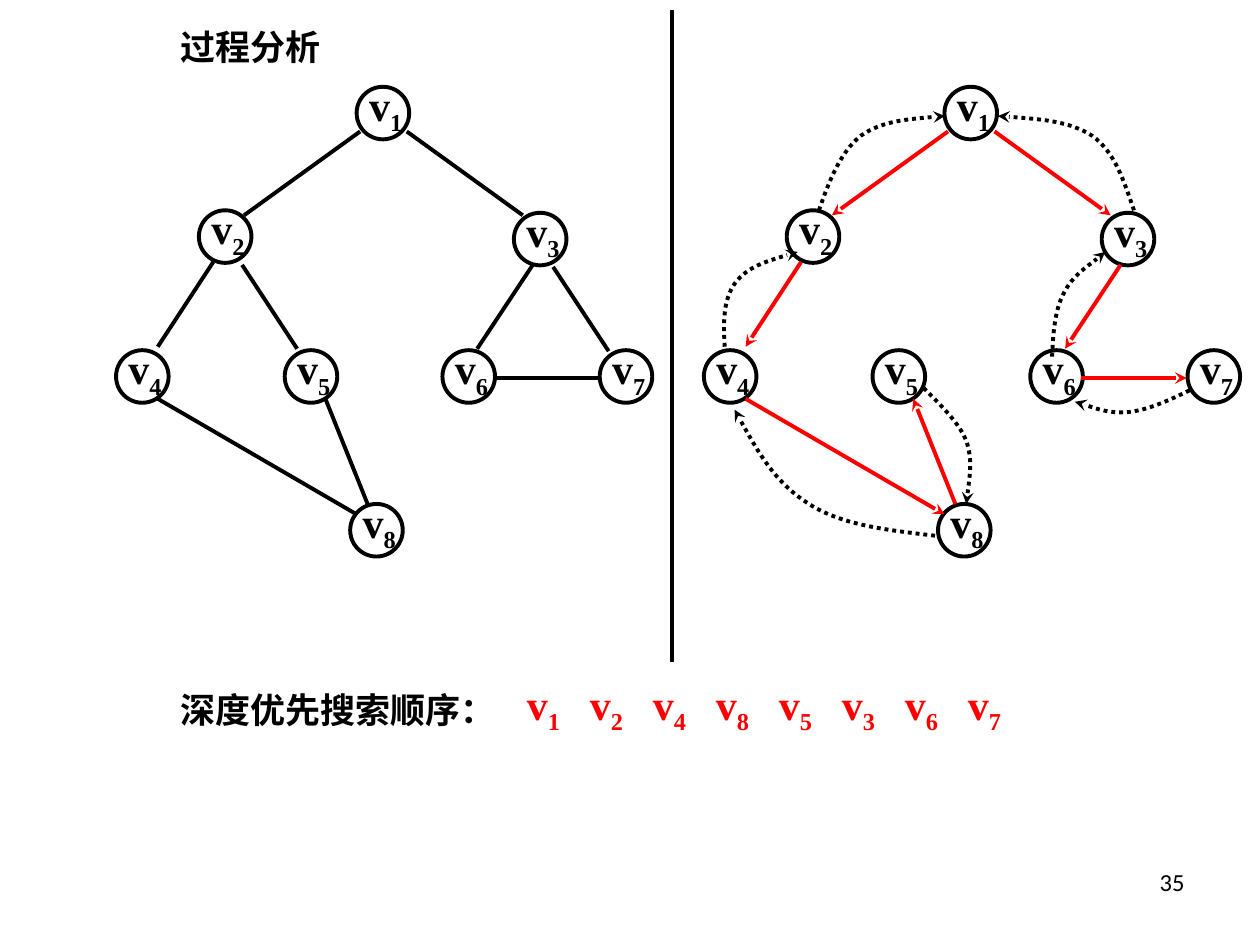
import itertools
from typing import NamedTuple

import lxml.etree
import pptx
import pptx.dml.color
import pptx.enum.dml
import pptx.enum.shapes
import pptx.enum.text
import pptx.oxml.ns
import pptx.util

COLORS = {"ink": "000000", "visit": "FF0000"}
LINE_WIDTH = pptx.util.Pt(2.25)
DIAMETER = 1.06
TRACE_SHIFT = 11.85  # centimetres from the plain graph to the traced one


class Node(NamedTuple):
    number: int
    left: float
    top: float


class Edge(NamedTuple):
    start: tuple[float, float]
    end: tuple[float, float]
    in_tree: bool = True


NODES = [
    Node(1, 7.19, 1.75),
    Node(2, 4.01, 4.24),
    Node(3, 10.36, 4.29),
    Node(4, 2.34, 7.06),
    Node(5, 5.74, 7.06),
    Node(6, 8.92, 7.06),
    Node(7, 12.09, 7.06),
    Node(8, 7.06, 10.16),
]

EDGES = [
    Edge((7.26, 2.65), (4.92, 4.34)),
    Edge((8.2, 2.65), (10.54, 4.34)),
    Edge((4.3, 5.28), (3.18, 6.99)),
    Edge((10.74, 5.34), (9.62, 7.03)),
    Edge((4.88, 5.34), (5.99, 7.03), in_tree=False),
    Edge((11.15, 5.38), (12.27, 7.08), in_tree=False),
    Edge((3.18, 8.04), (7.19, 10.37)),
    Edge((7.41, 10.16), (6.56, 8.04)),
    Edge((9.95, 7.62), (12.07, 7.62)),
]

# Each backtrack: a start point, then two cubic curves of three points
BACKTRACKS = [
    [(18.62, 7.82), (18.97, 8.18), (19.33, 8.51), (19.48, 8.89), (19.61, 9.27), (19.53, 9.73), (19.48, 10.16)],
    [(18.85, 10.8), (17.91, 10.69), (16.97, 10.59), (16.31, 10.16), (15.62, 9.73), (15.21, 8.99), (14.81, 8.26)],
    [(14.61, 6.99), (14.58, 6.5), (14.58, 6.05), (14.81, 5.72), (15.06, 5.38), (15.57, 5.23), (16.08, 5.08)],
    [(16.51, 4.24), (16.71, 3.66), (16.94, 3.07), (17.35, 2.74), (17.78, 2.44), (18.42, 2.39), (19.05, 2.34)],
    [(23.98, 7.87), (23.55, 8.08), (23.11, 8.28), (22.71, 8.31), (22.33, 8.33), (22, 8.2), (21.67, 8.1)],
    [(21.21, 7.19), (21.23, 6.73), (21.26, 6.27), (21.44, 5.92), (21.62, 5.56), (22.12, 5.23), (22.28, 5.08)],
    [(22.86, 4.24), (22.66, 3.66), (22.48, 3.07), (22.02, 2.74), (21.56, 2.44), (20.83, 2.39), (20.12, 2.34)],
]

VISIT_ORDER = [1, 2, 4, 8, 5, 3, 6, 7]


def color_of(name: str) -> pptx.dml.color.RGBColor:
    return pptx.dml.color.RGBColor.from_string(COLORS[name])


def style_line(shape, color: str = "ink", arrow: bool = False) -> None:
    shape.line.width = LINE_WIDTH
    shape.line.color.rgb = color_of(color)
    if arrow:
        outline = shape.line._get_or_add_ln()
        lxml.etree.SubElement(outline, pptx.oxml.ns.qn("a:tailEnd"), type="stealth")


def add_text(slide, box: tuple[float, float, float, float], text: str, size: float,
             color: str = "ink", font: str = "Times New Roman", bold: bool = True):
    frame = slide.shapes.add_textbox(*map(pptx.util.Cm, box)).text_frame
    frame.word_wrap = True
    paragraph = frame.paragraphs[0]
    paragraph.add_run().text = text
    paragraph.font.name = font
    paragraph.font.size = pptx.util.Pt(size)
    paragraph.font.bold = bold
    paragraph.font.color.rgb = color_of(color)
    return paragraph


def add_vertex_label(slide, number: int, left: float, top: float, color: str = "ink") -> None:
    paragraph = add_text(slide, (left, top, 1.9, 1.42), "v", 24, color)
    subscript = paragraph.add_run()
    subscript.text = str(number)
    subscript._r.get_or_add_rPr().set("baseline", "-25000")


def add_node(slide, node: Node, shift: float) -> None:
    left = node.left + shift
    circle = slide.shapes.add_shape(
        pptx.enum.shapes.MSO_SHAPE.OVAL,
        *map(pptx.util.Cm, (left, node.top, DIAMETER, DIAMETER)))
    circle.fill.background()
    circle.shadow.inherit = False
    style_line(circle)
    add_vertex_label(slide, node.number, left, node.top - 0.28)


def add_line(slide, edge: Edge, shift: float = 0, color: str = "ink", arrow: bool = False) -> None:
    (start_x, start_y), (end_x, end_y) = edge.start, edge.end
    connector = slide.shapes.add_connector(
        pptx.enum.shapes.MSO_CONNECTOR.STRAIGHT,
        *map(pptx.util.Cm, (start_x + shift, start_y, end_x + shift, end_y)))
    style_line(connector, color, arrow)
    lxml.etree.SubElement(connector._element.spPr, pptx.oxml.ns.qn("a:effectLst"))


def add_backtrack(slide, points: list[tuple[float, float]]) -> None:
    start, *rest = [(pptx.util.Cm(x), pptx.util.Cm(y)) for x, y in points]
    builder = slide.shapes.build_freeform(*start)
    builder.add_line_segments(rest, close=False)
    curve = builder.convert_to_shape()
    # Turn every three straight segments into one cubic curve
    segments = list(curve._element.iter(pptx.oxml.ns.qn("a:lnTo")))
    outline = segments[0].getparent()
    for first in range(0, len(segments), 3):
        cubic = lxml.etree.SubElement(outline, pptx.oxml.ns.qn("a:cubicBezTo"))
        for segment in segments[first:first + 3]:
            cubic.append(segment[0])
            outline.remove(segment)
    curve.fill.background()
    curve.shadow.inherit = False
    curve.line.dash_style = pptx.enum.dml.MSO_LINE.ROUND_DOT
    style_line(curve, arrow=True)


def main() -> None:
    presentation = pptx.Presentation()
    presentation.slide_width = pptx.util.Cm(25.4)
    presentation.slide_height = pptx.util.Cm(19.05)
    slide = presentation.slides.add_slide(presentation.slide_layouts[6])

    # Title, divider and page number
    add_text(slide, (3.39, 0.38, 10.36, 1.12), "过程分析", 20)
    add_line(slide, Edge((13.55, 0.2), (13.55, 13.34)))
    page_number = add_text(slide, (18.21, 17.35, 5.92, 1.32), "35", 14, font="Calibri", bold=False)
    page_number.alignment = pptx.enum.text.PP_ALIGN.RIGHT

    # Plain graph on the left, traced graph on the right
    for node, shift in itertools.product(NODES, (0, TRACE_SHIFT)):
        add_node(slide, node, shift)
    for edge in EDGES:
        add_line(slide, edge)
        if edge.in_tree:
            add_line(slide, edge, TRACE_SHIFT, "visit", arrow=True)
    for points in BACKTRACKS:
        add_backtrack(slide, points)

    # Visiting order
    add_text(slide, (3.39, 13.76, 7, 1.12), "深度优先搜索顺序：", 20)
    for position, number in enumerate(VISIT_ORDER):
        add_vertex_label(slide, number, 10.37 + 1.27 * position, 13.55, "visit")

    presentation.save("out.pptx")


if __name__ == "__main__":
    main()
